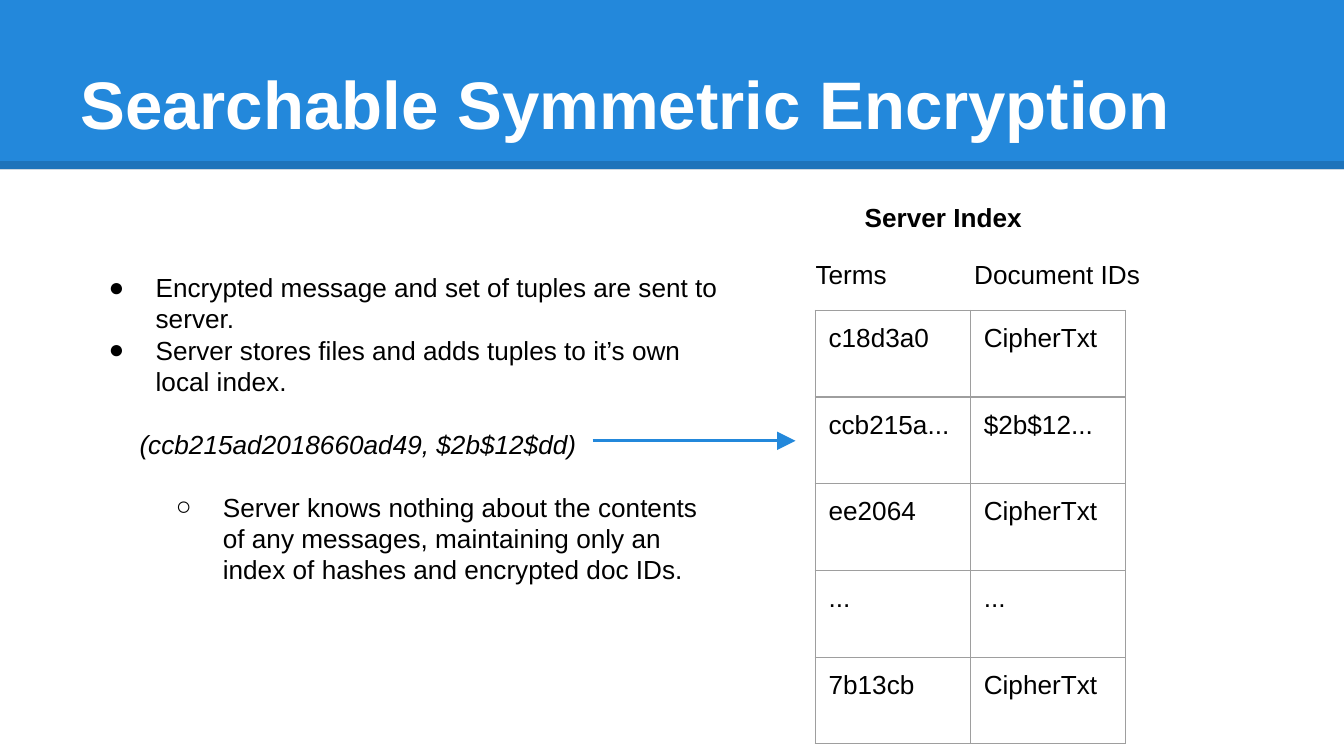
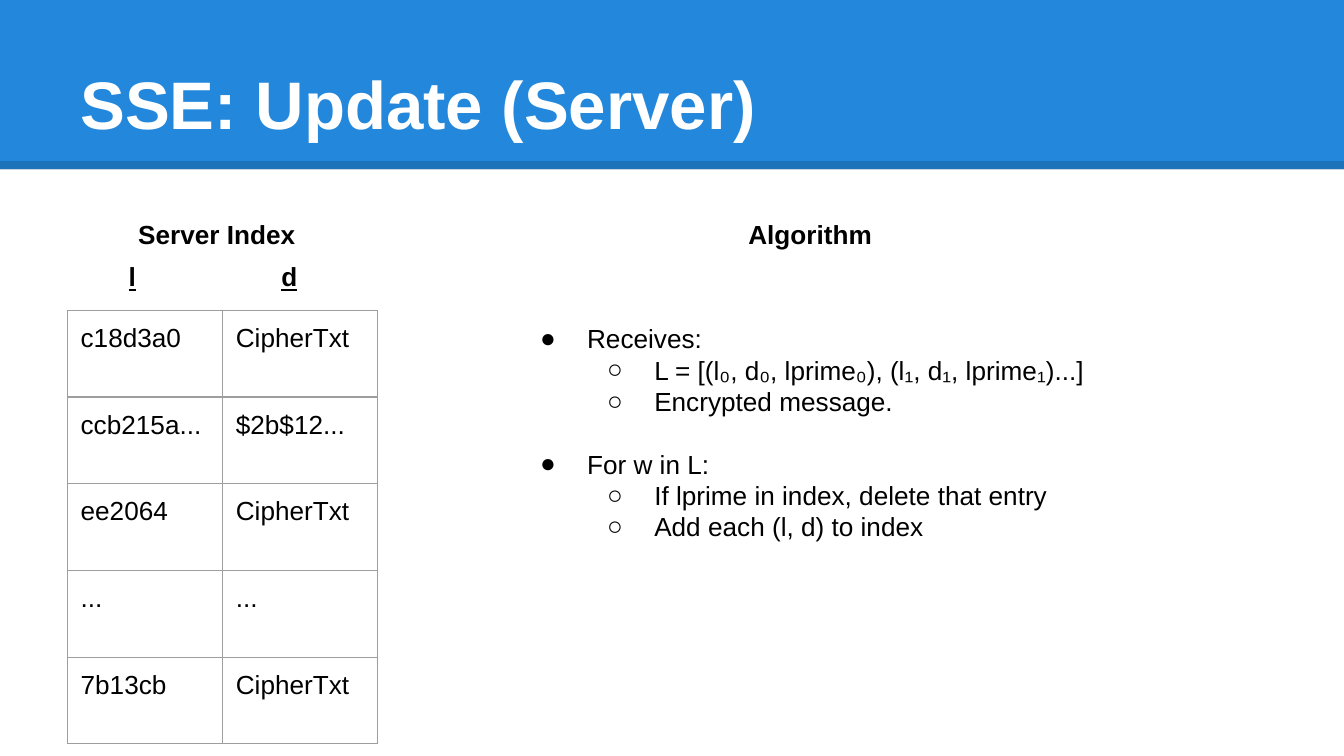
from dataclasses import dataclass
from lxml import etree
from pptx import Presentation
from pptx import util as u
from pptx.dml.color import RGBColor
from pptx.enum import shapes, text
from pptx.oxml import ns


@dataclass(frozen=True)
class Theme:
    """Colours, font and type sizes of the deck."""
    blue: str = "2388DB"
    white: str = "FFFFFF"
    ink: str = "000000"
    grid: str = "9E9E9E"
    font: str = "Arial"
    head: int = 36
    body: int = 14
    gap: float = 16.8


THEME = Theme()
WIDE, HIGH, PAD = 2000, 1125, 20
BAND = (0, 0, WIDE, 252)
ROWS = [
    ("c18d3a0", "CipherTxt"),
    ("ccb215a...", "$2b$12..."),
    ("ee2064", "CipherTxt"),
    ("...", "..."),
    ("7b13cb", "CipherTxt"),
]


def px(n):
    """Turn px into EMU, 200 px to the inch."""
    return u.Emu(n * 4572)


def node(up, tag, **attrs):
    """Append a drawing element and return it."""
    return etree.SubElement(up, ns.qn("a:" + tag), attrs)


def write(para, words, size=THEME.body, hue=THEME.ink, bold=False, ital=False, under=False):
    """Add one styled run to a paragraph."""
    run = para.add_run()
    run.text = words
    font = run.font
    font.name, font.size = THEME.font, u.Pt(size)
    font.bold, font.italic, font.underline = bold, ital, under
    font.color.rgb = RGBColor.from_string(hue)


def inset(part):
    """Give a text frame or table cell equal margins."""
    part.margin_left = part.margin_right = px(PAD)
    part.margin_top = part.margin_bottom = px(PAD)


def frame(slide, box):
    """Add a wrapping text box and return its text frame."""
    body = slide.shapes.add_textbox(*map(px, box)).text_frame
    body.word_wrap = True
    inset(body)
    return body


def label(slide, box, words):
    """Add a bold heading."""
    write(frame(slide, box).paragraphs[0], words, bold=True)


def heads(slide, box, stops, parts, **style):
    """Add column heads spaced by tab stops."""
    para = frame(slide, box).paragraphs[0]
    tabs = node(para._p.get_or_add_pPr(), "tabLst")
    for stop in stops:
        node(tabs, "tab", pos=str(px(stop)), algn="l")
    for part in parts:
        if part == "\t":
            write(para, part)
        else:
            write(para, part, **style)


def rule(slide, start, end, hue, width):
    """Add a straight line without shadow and return its line element."""
    line = slide.shapes.add_connector(shapes.MSO_CONNECTOR.STRAIGHT, *map(px, start + end))
    line.line.color.rgb = RGBColor.from_string(hue)
    line.line.width = u.Pt(width)
    node(line._element.spPr, "effectLst")
    return line.line._get_or_add_ln()


def band(slide, box, title):
    """Add the title band with its dark lower edge."""
    left, top, width, height = box
    bar = slide.shapes.add_shape(shapes.MSO_SHAPE.RECTANGLE, *map(px, box))
    bar.shadow.inherit = False
    bar.fill.solid()
    bar.fill.fore_color.rgb = RGBColor.from_string(THEME.blue)
    bar.line.fill.background()
    edge = top + height - 6
    line = rule(slide, (left, edge), (left + width, edge), THEME.ink, 4.5)
    node(line.find(".//" + ns.qn("a:srgbClr")), "alpha", val="15000")
    body = frame(slide, (left + 100, top + 46, width - 200, height - 65))
    body.vertical_anchor = text.MSO_ANCHOR.BOTTOM
    write(body.paragraphs[0], title, THEME.head, THEME.white, bold=True)


def index(slide, left, top):
    """Add the server index table."""
    wide, high, side = 231, 129, 656
    shape = slide.shapes.add_table(len(ROWS), 2, px(left), px(top), px(side), px(side))
    grid = shape.table
    grid.first_row = grid.horz_banding = False
    for col in grid.columns:
        col.width = px(wide)
    for row, words in zip(grid.rows, ROWS):
        row.height = px(high)
        for cell, word in zip(row.cells, words):
            inset(cell)
            write(cell.text_frame.paragraphs[0], word)
            for edge in ("lnL", "lnR", "lnT", "lnB"):
                line = node(cell._tc.get_or_add_tcPr(), edge, w=str(u.Pt(0.75)))
                node(node(line, "solidFill"), "srgbClr", val=THEME.grid)
            cell.fill.background()
    shape.width = shape.height = px(side)


def points(slide, box, items):
    """Add paragraphs given as level, gap above and words; no level means an italic aside."""
    body = frame(slide, box)
    for n, (level, gap, words) in enumerate(items):
        para = body.add_paragraph() if n else body.paragraphs[0]
        para.space_before = u.Pt(THEME.gap if gap else 0)
        props = para._p.get_or_add_pPr()
        if level is None:
            props.set("marL", str(px(76)))
        else:
            para.level = level
            props.set("marL", str(px(100 * (level + 1))))
            props.set("indent", str(px(-70)))
            node(node(props, "buClr"), "srgbClr", val=THEME.ink)
            node(props, "buSzPts", val=str(THEME.body * 100))
            node(props, "buFont", typeface=THEME.font)
            node(props, "buChar", char="●○"[level])
        write(para, words, ital=level is None)


def store(slide):
    """Build the slide on sending tuples to the server."""
    band(slide, BAND, "Searchable Symmetric Encryption")
    index(slide, 1213, 462)
    label(slide, (1267, 280, 800, 158), "Server Index")
    points(slide, (112, 384, 984, 726), [
        (0, False, "Encrypted message and set of tuples are sent to server."),
        (0, False, "Server stores files and adds tuples to it’s own local index."),
        (None, True, "(ccb215ad2018660ad49, $2b$12$dd)"),
        (1, True, "Server knows nothing about the contents of any messages, "
                  "maintaining only an index of hashes and encrypted doc IDs."),
    ])
    heads(slide, (1194, 364, 572, 74), [236], ["Terms", "\t", "Document IDs"])
    line = rule(slide, (882, 656), (1184, 656), THEME.blue, 1.5)
    node(line, "tailEnd", type="triangle", w="lg", len="lg")


def update(slide):
    """Build the slide on the server's update algorithm."""
    band(slide, BAND, "SSE: Update (Server)")
    label(slide, (186, 305, 318, 82), "Server Index")
    index(slide, 100, 462)
    heads(slide, (96, 368, 466, 66), [76, 303], ["\t", "l", "\t", "d"], bold=True, under=True)
    label(slide, (1094, 305, 346, 50), "Algorithm")
    points(slide, (754, 460, 1026, 612), [
        (0, False, "Receives:"),
        (1, False, "L = [(l₀, d₀, lprime₀), (l₁, d₁, lprime₁)...]"),
        (1, False, "Encrypted message."),
        (0, True, "For w in L:"),
        (1, False, "If lprime in index, delete that entry"),
        (1, False, "Add each (l, d) to index"),
    ])


def main():
    """Build the deck and save it."""
    deck = Presentation()
    deck.slide_width, deck.slide_height = px(WIDE), px(HIGH)
    for build in (store, update):
        build(deck.slides.add_slide(deck.slide_layouts[6]))
    deck.save("out.pptx")


if __name__ == "__main__":
    main()
